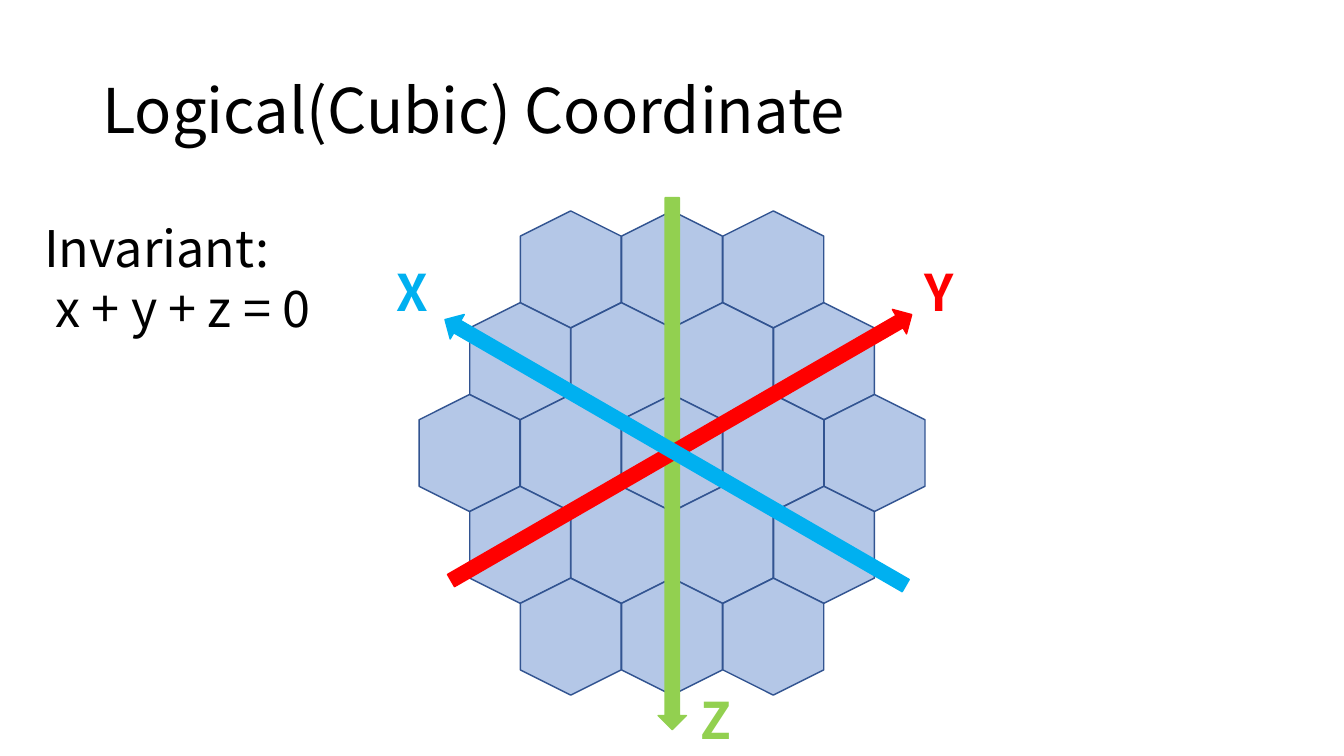
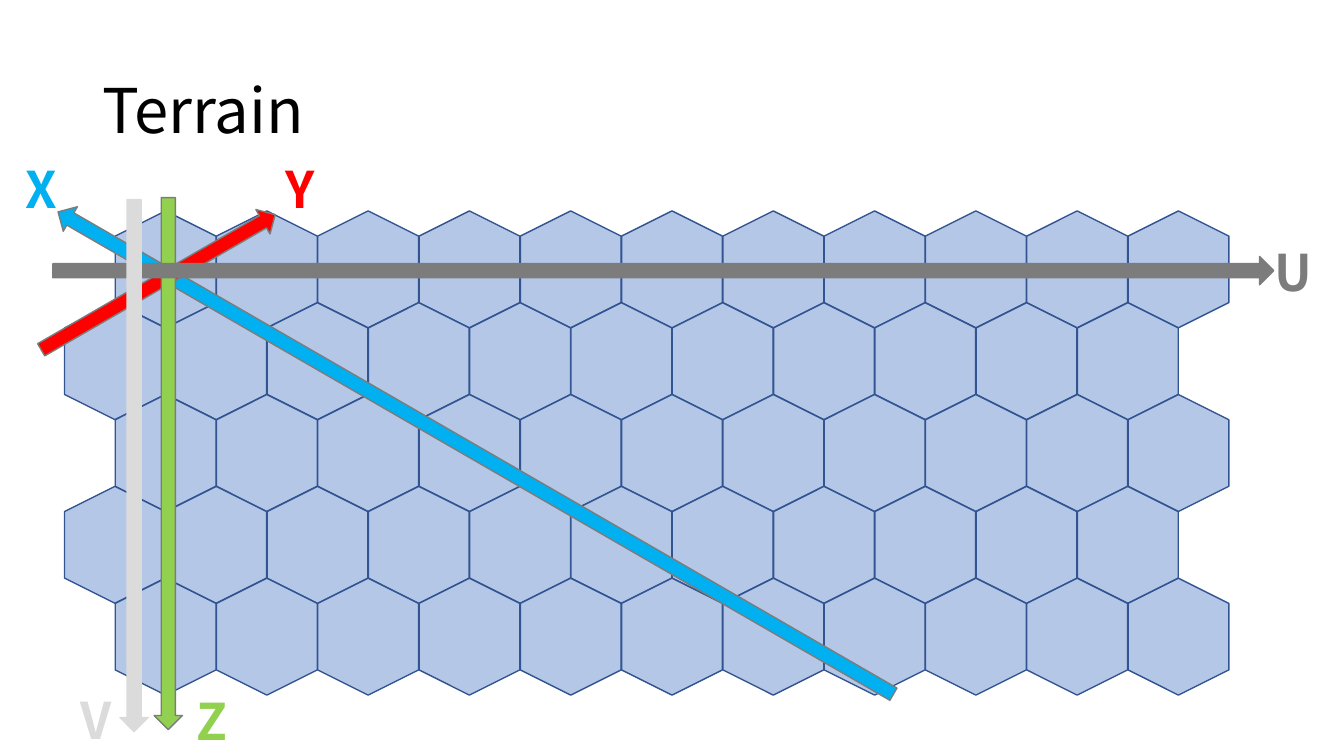
from dataclasses import dataclass

from pptx import Presentation
from pptx.dml.color import RGBColor
from pptx.enum.shapes import MSO_SHAPE
from pptx.enum.text import MSO_ANCHOR
from pptx.util import Pt

HEXAGON, DOWN_ARROW = MSO_SHAPE.HEXAGON, MSO_SHAPE.DOWN_ARROW
TOP, MIDDLE = MSO_ANCHOR.TOP, MSO_ANCHOR.MIDDLE


@dataclass(frozen=True)
class Theme:
    font: str = "Noto Sans CJK KR"
    title_size: int = 44
    body_size: int = 36
    text: str = "000000"
    tile: str = "B4C7E7"
    tile_line: str = "325491"
    x: str = "00B0F0"
    y: str = "FF0000"
    z: str = "92D050"
    u: str = "7C7C7C"
    v: str = "DBDBDB"


THEME = Theme()

# Tile grid, in points
TILE_LENGTH, TILE_WIDTH = 83.5, 72
COLUMN_PITCH, ROW_PITCH = 72.35, 65.6
GRID_CENTER, FIRST_ROW = 480, 192.4

ARROW_WIDTH = 20.2
LABEL_WIDTH, LABEL_HEIGHT = 45.4, 51.1


def add_centered(shapes, preset, center, size, rotation, fill, line):
    """Add a preset shape around its centre, so that rotation keeps it in place."""
    (x, y), (width, height) = center, size
    shape = shapes.add_shape(preset, Pt(x - width / 2), Pt(y - height / 2), Pt(width), Pt(height))
    shape.rotation = rotation
    shape.shadow.inherit = False
    shape.fill.solid()
    shape.fill.fore_color.rgb = RGBColor.from_string(fill)
    shape.line.color.rgb = RGBColor.from_string(line)
    shape.line.width = Pt(1)


def add_text(slide, box, lines, color, anchor=TOP, spacing=None, **font_format):
    frame = slide.shapes.add_textbox(*map(Pt, box)).text_frame
    frame.word_wrap = True
    frame.vertical_anchor = anchor
    frame.text = "\n".join(lines)
    for paragraph in frame.paragraphs:
        paragraph.line_spacing = spacing
        font = paragraph.runs[0].font
        font.color.rgb = RGBColor.from_string(color)
        for attribute, value in {"name": THEME.font, "size": Pt(THEME.body_size), **font_format}.items():
            setattr(font, attribute, value)


# Tile rows: (count, centre). Axes: (name, colour, outline, arrow centre, length,
# rotation, label left and top), from back to front.
SLIDES = [
    {
        "title": "Logical(Cubic) Coordinate",
        "rows": [(count, GRID_CENTER) for count in (3, 4, 5, 4, 3)],
        "axes": [
            ("Z", THEME.z, THEME.z, (480.2, 331.2), 380, 0, (493.2, 488.9)),
            ("Y", THEME.y, THEME.y, (486.7, 319.7), 380, 240, (653, 182.9)),
            ("X", THEME.x, THEME.x, (482.4, 323.3), 380, 120, (276.5, 182.9)),
        ],
        "invariant": ["Invariant:", " x + y + z = 0"],
    },
    {
        "title": "Terrain",
        "rows": [(11, GRID_CENTER - row % 2 * COLUMN_PITCH / 2) for row in range(5)],
        "axes": [
            ("X", THEME.x, THEME.u, (339.8, 323.6), 689, 120, (11.5, 109.4)),
            ("Y", THEME.y, THEME.u, (113, 201.6), 193, 240, (196.6, 109.4)),
            ("Z", THEME.z, THEME.u, (120.2, 331.2), 380, 0, (133.2, 489.6)),
            ("U", THEME.u, THEME.u, (473.8, 193.3), 872, 270, (903.6, 168.5)),
            ("V", THEME.v, THEME.v, (95.8, 332.6), 380, 0, (50.4, 488.9)),
        ],
        "invariant": [],
    },
]

presentation = Presentation()
presentation.slide_width, presentation.slide_height = Pt(960), Pt(540)
blank_layout = presentation.slide_layouts[6]

for content in SLIDES:
    slide = presentation.slides.add_slide(blank_layout)

    tiles = slide.shapes.add_group_shape().shapes
    for row, (count, row_center) in enumerate(content["rows"]):
        y = FIRST_ROW + row * ROW_PITCH
        for column in range(count):
            x = row_center + (column - (count - 1) / 2) * COLUMN_PITCH
            add_centered(tiles, HEXAGON, (x, y), (TILE_LENGTH, TILE_WIDTH), 90,
                         THEME.tile, THEME.tile_line)

    add_text(slide, (66, 28.8, 828, 104.4), [content["title"]], THEME.text,
             MIDDLE, 0.9, size=Pt(THEME.title_size))

    for name, color, outline, center, length, rotation, label in content["axes"]:
        add_centered(slide.shapes, DOWN_ARROW, center, (ARROW_WIDTH, length), rotation, color, outline)
        add_text(slide, (*label, LABEL_WIDTH, LABEL_HEIGHT), [name], color, bold=True)

    if content["invariant"]:
        add_text(slide, (24.5, 151.2, 252, 94.3), content["invariant"], THEME.text)

presentation.save("out.pptx")
